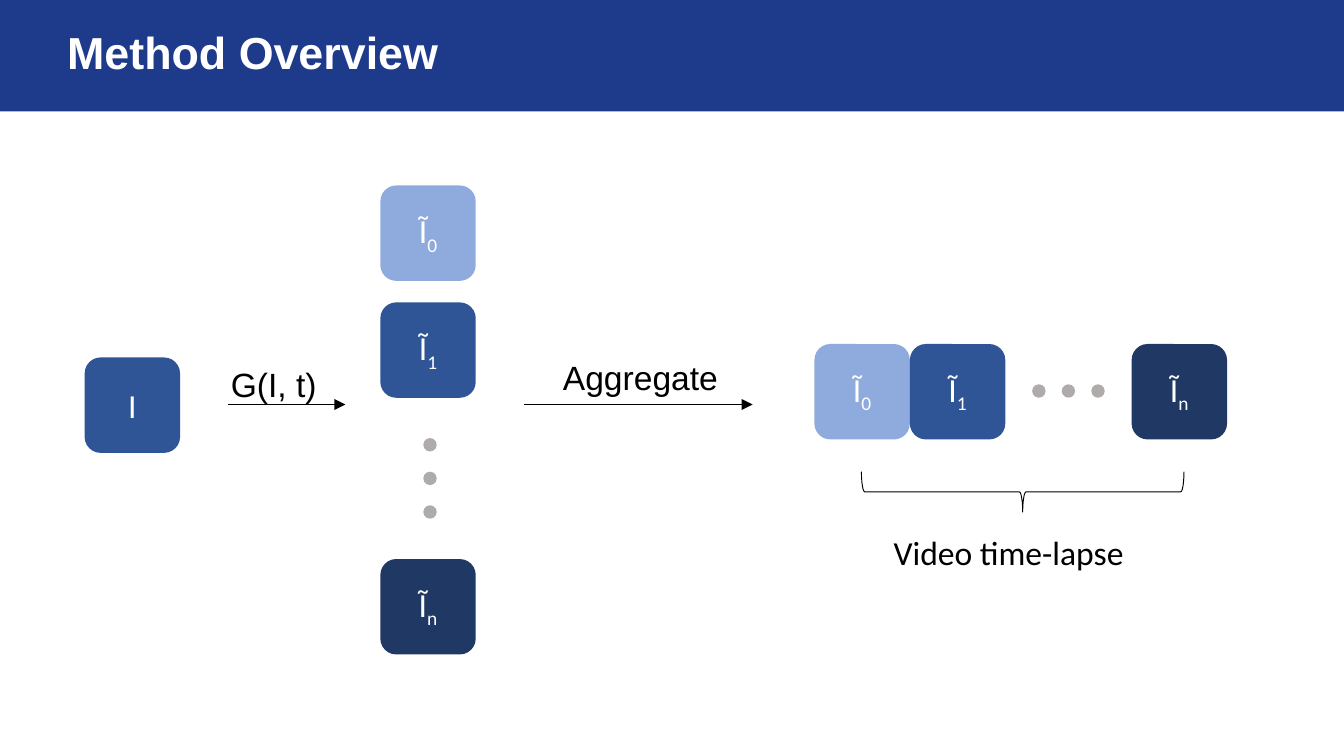
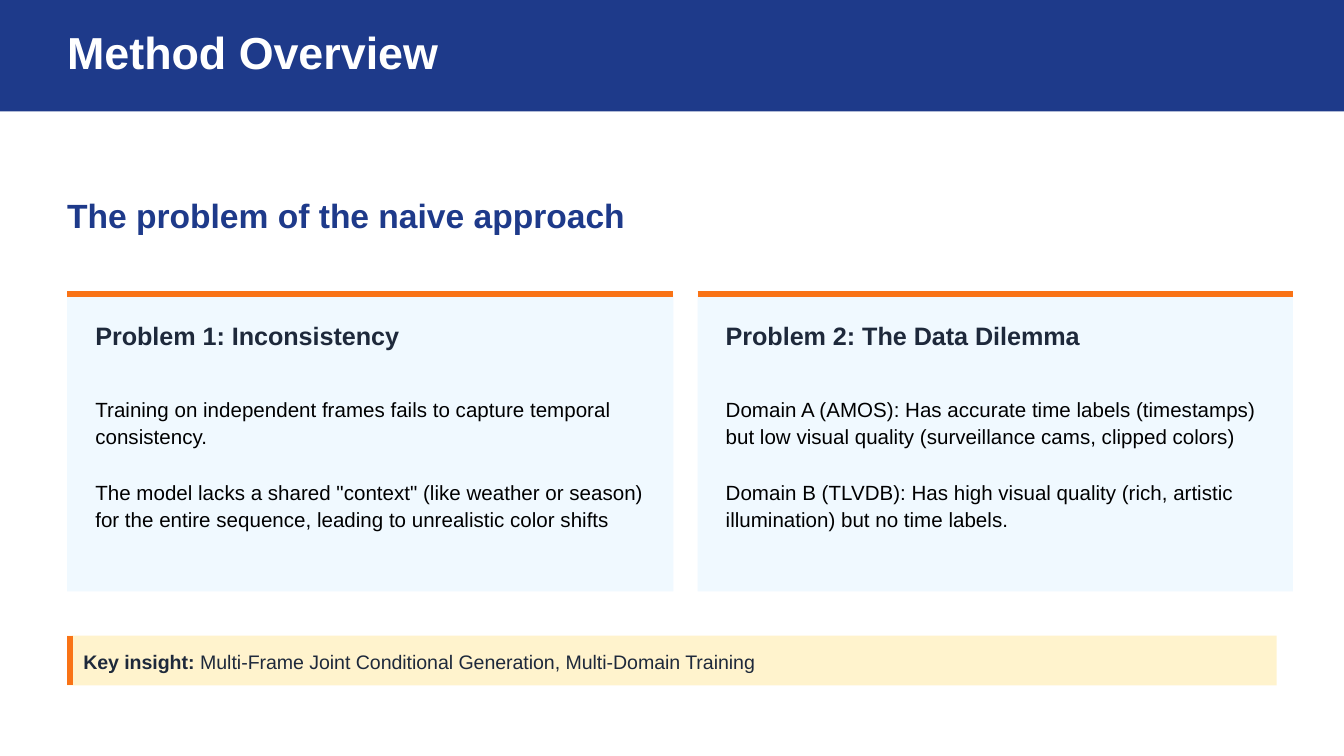
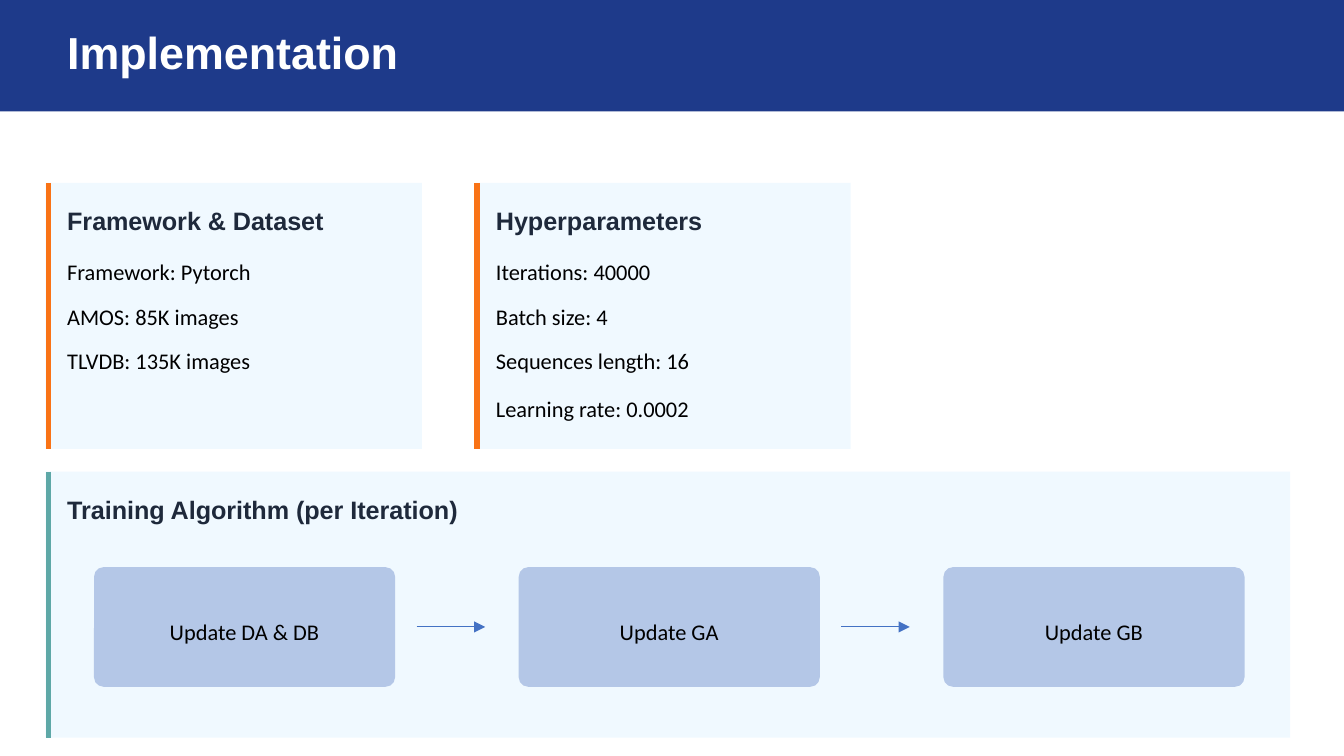
from lxml import etree
from pptx import Presentation
from pptx.dml.color import RGBColor
from pptx.enum.shapes import MSO_CONNECTOR, MSO_SHAPE
from pptx.enum.text import MSO_ANCHOR, MSO_AUTO_SIZE, PP_ALIGN
from pptx.oxml.ns import qn
from pptx.util import Inches, Pt

RECT, ROUND = MSO_SHAPE.RECTANGLE, MSO_SHAPE.ROUNDED_RECTANGLE
OVAL, BRACE = MSO_SHAPE.OVAL, MSO_SHAPE.LEFT_BRACE
STRAIGHT = MSO_CONNECTOR.STRAIGHT
MIDDLE, CENTER = MSO_ANCHOR.MIDDLE, PP_ALIGN.CENTER
FIT = MSO_AUTO_SIZE.SHAPE_TO_FIT_TEXT

NAVY, INK, PANEL, ORANGE, TEAL = "1E3A8A", "1E293B", "F0F9FF", "F97316", "5EA8A7"
LIGHT, MID, DARK, DOT = "8FAADC", "2F5597", "203864", "AFABAB"
STEP, ARROW, NOTE, BLACK, WHITE = "B4C7E7", "4472C4", "FFF3CD", "000000", "FFFFFF"

FRAME = 0.71
DOT_SIZE = 0.1
FRAMES = [("0", LIGHT), ("1", MID), ("n", DARK)]
COLUMN_X, COLUMN_TOPS = 2.83, [1.38, 2.25, 4.16]
COLUMN_DOTS = [(3.15, 3.26 + 0.25 * i) for i in range(3)]
ROW_Y, ROW_LEFTS = 2.56, [6.06, 6.77, 8.42]
ROW_DOTS = [(7.68 + 0.22 * i, 2.86) for i in range(3)]
FLOW_Y = 3.01
FLOW_ARROWS = [(1.7, 2.57), (3.9, 5.6)]
FLOW_LABELS = [
    ("G(I, t)", "Arial", (1.62, 2.66, 0.87, 0.4)),
    ("Aggregate", "Arial", (4.09, 2.61, 1.47, 0.4)),
    ("Video time-lapse", "Calibri", (6.55, 3.91, 2.11, 0.4)),
]

PROBLEMS = [
    (0.5, 4.51, "Problem 1: Inconsistency", [
        "Training on independent frames fails to capture temporal consistency.",
        'The model lacks a shared "context" (like weather or season) for the '
        "entire sequence, leading to unrealistic color shifts",
    ]),
    (5.19, 4.43, "Problem 2: The Data Dilemma", [
        "Domain A (AMOS): Has accurate time labels (timestamps) but low visual "
        "quality (surveillance cams, clipped colors)",
        "Domain B (TLVDB): Has high visual quality (rich, artistic illumination) "
        "but no time labels.",
    ]),
]
INSIGHT = ("Key insight:", " Multi-Frame Joint Conditional Generation, Multi-Domain Training")

CARDS = [
    (0.34, 1.36, 2.8, ORANGE, "Framework & Dataset",
     ["Framework: Pytorch", "AMOS: 85K images", "TLVDB: 135K images"]),
    (3.53, 1.36, 2.8, ORANGE, "Hyperparameters",
     ["Iterations: 40000", "Batch size: 4", "Sequences length: 16", "Learning rate: 0.0002"]),
    (0.34, 3.51, 9.26, TEAL, "Training Algorithm (per Iteration)", []),
]
CARD_H = 1.98
CARD_ROWS = [0.5, 0.83, 1.16, 1.52]
STEPS = ["Update DA & DB", "Update GA", "Update GB"]
STEP_X, STEP_Y, STEP_W, STEP_H, STEP_PITCH = 0.7, 4.22, 2.24, 0.89, 3.16


def rgb(color):
    return RGBColor.from_string(color)


def inches(values):
    return [Inches(v) for v in values]


def add_shape(slide, kind, box, fill=None):
    s = slide.shapes.add_shape(kind, *inches(box))
    s.shadow.inherit = False
    if fill:
        s.fill.solid()
        s.fill.fore_color.rgb = rgb(fill)
        s.line.fill.background()
    else:
        s.fill.background()
    return s


def style(p, size, color, font, bold=False, spacing=None):
    p.font.size = Pt(size)
    p.font.name = font
    p.font.bold = bold
    p.font.color.rgb = rgb(color)
    if spacing:
        p.line_spacing = Pt(spacing)


def add_text(slide, text, box, size, color=BLACK, font="Arial", bold=False, spacing=None):
    tf = slide.shapes.add_textbox(*inches(box)).text_frame
    tf.word_wrap = True
    tf.margin_left = tf.margin_right = tf.margin_top = tf.margin_bottom = 0
    p = tf.paragraphs[0]
    p.text = text
    style(p, size, color, font, bold, spacing)
    return tf


def add_heading(slide, text, x, y, w):
    add_text(slide, text, (x, y, w, 0.26), 13.5, INK, bold=True, spacing=18.9)


def add_line(slide, start, end, color, width, arrow=False):
    c = slide.shapes.add_connector(STRAIGHT, *inches(start + end))
    c.line.color.rgb = rgb(color)
    c.line.width = Pt(width)
    if arrow:
        ln = c._element.spPr.find(qn("a:ln"))
        etree.SubElement(ln, qn("a:tailEnd"), type="triangle")
    etree.SubElement(c._element.spPr, qn("a:effectLst"))


def add_frame(slide, x, y, letter, fill, index=None):
    s = add_shape(slide, ROUND, (x, y, FRAME, FRAME), fill)
    s.text_frame.vertical_anchor = MIDDLE
    p = s.text_frame.paragraphs[0]
    p.alignment = CENTER
    p.add_run().text = letter
    if index:
        r = p.add_run()
        r.text = index
        r.font._element.set("baseline", "-25000")
    style(p, 18, WHITE, "Calibri")


def new_slide(prs, title):
    slide = prs.slides.add_slide(prs.slide_layouts[6])
    add_shape(slide, RECT, (0, 0, 10, 0.83), NAVY)
    add_text(slide, title, (0.5, 0.25, 4.6, 0.33), 24, WHITE, bold=True, spacing=24)
    return slide


def build_pipeline(prs):
    slide = new_slide(prs, "Method Overview")
    add_frame(slide, 0.63, 2.66, "I", MID)
    for (index, fill), top, left in zip(FRAMES, COLUMN_TOPS, ROW_LEFTS):
        add_frame(slide, COLUMN_X, top, "Ĩ", fill, index)
        add_frame(slide, left, ROW_Y, "Ĩ", fill, index)
    for x, y in COLUMN_DOTS + ROW_DOTS:
        add_shape(slide, OVAL, (x, y, DOT_SIZE, DOT_SIZE), DOT)
    for start, end in FLOW_ARROWS:
        add_line(slide, (start, FLOW_Y), (end, FLOW_Y), BLACK, 0.5, arrow=True)
    brace = add_shape(slide, BRACE, (7.46, 2.46, 0.3, 2.4))
    brace.rotation = 270
    brace.line.color.rgb = rgb(BLACK)
    brace.line.width = Pt(0.5)
    for text, font, box in FLOW_LABELS:
        tf = add_text(slide, text, box, 18, font=font)
        tf.margin_left = tf.margin_right = Inches(0.1)
        tf.margin_top = tf.margin_bottom = Inches(0.05)
        tf.auto_size = FIT


def build_problems(prs):
    slide = new_slide(prs, "Method Overview")
    add_text(slide, "The problem of the naive approach", (0.5, 1.47, 4.6, 0.28),
             18, NAVY, bold=True, spacing=20)
    for x, w, heading, points in PROBLEMS:
        add_shape(slide, RECT, (x, 2.19, w, 2.21), PANEL)
        add_line(slide, (x, 2.19), (x + w, 2.19), ORANGE, 3)
        add_heading(slide, heading, x + 0.21, 2.35, 4.14)
        for i, point in enumerate(points):
            add_text(slide, point, (x + 0.21, 2.93 + 0.62 * i, 4.14, 0.49), 11, spacing=14.7)
    add_shape(slide, RECT, (0.5, 4.73, 9, 0.37), NOTE)
    add_line(slide, (0.52, 4.73), (0.52, 5.1), ORANGE, 3)
    label, insight = INSIGHT
    tf = add_text(slide, label, (0.62, 4.81, 8.97, 0.2), 10.5, INK, spacing=14.7)
    p = tf.paragraphs[0]
    p.runs[0].font.bold = True
    p.add_run().text = insight


def build_implementation(prs):
    slide = new_slide(prs, "Implementation")
    for x, y, w, accent, heading, rows in CARDS:
        add_shape(slide, RECT, (x, y, w, CARD_H), PANEL)
        add_line(slide, (x + 0.02, y), (x + 0.02, y + CARD_H), accent, 3)
        add_heading(slide, heading, x + 0.16, y + 0.13, w - 0.55)
        for row, offset in zip(rows, CARD_ROWS):
            add_text(slide, row, (x + 0.16, y + offset, 2, 0.26), 12,
                     font="Calibri", spacing=18.9)
    for i, step in enumerate(STEPS):
        x = STEP_X + i * STEP_PITCH
        s = add_shape(slide, ROUND, (x, STEP_Y, STEP_W, STEP_H), STEP)
        s.adjustments[0] = 0.08
        s.text_frame.vertical_anchor = MIDDLE
        p = s.text_frame.paragraphs[0]
        p.text = step
        p.alignment = CENTER
        style(p, 12, BLACK, "Calibri", spacing=18.9)
        if i:
            y = STEP_Y + STEP_H / 2
            add_line(slide, (x - 0.76, y), (x - 0.25, y), ARROW, 0.5, arrow=True)


def main():
    prs = Presentation()
    prs.slide_width = Inches(10)
    prs.slide_height = prs.slide_width * 9 // 16
    build_pipeline(prs)
    build_problems(prs)
    build_implementation(prs)
    prs.save("out.pptx")


if __name__ == "__main__":
    main()
